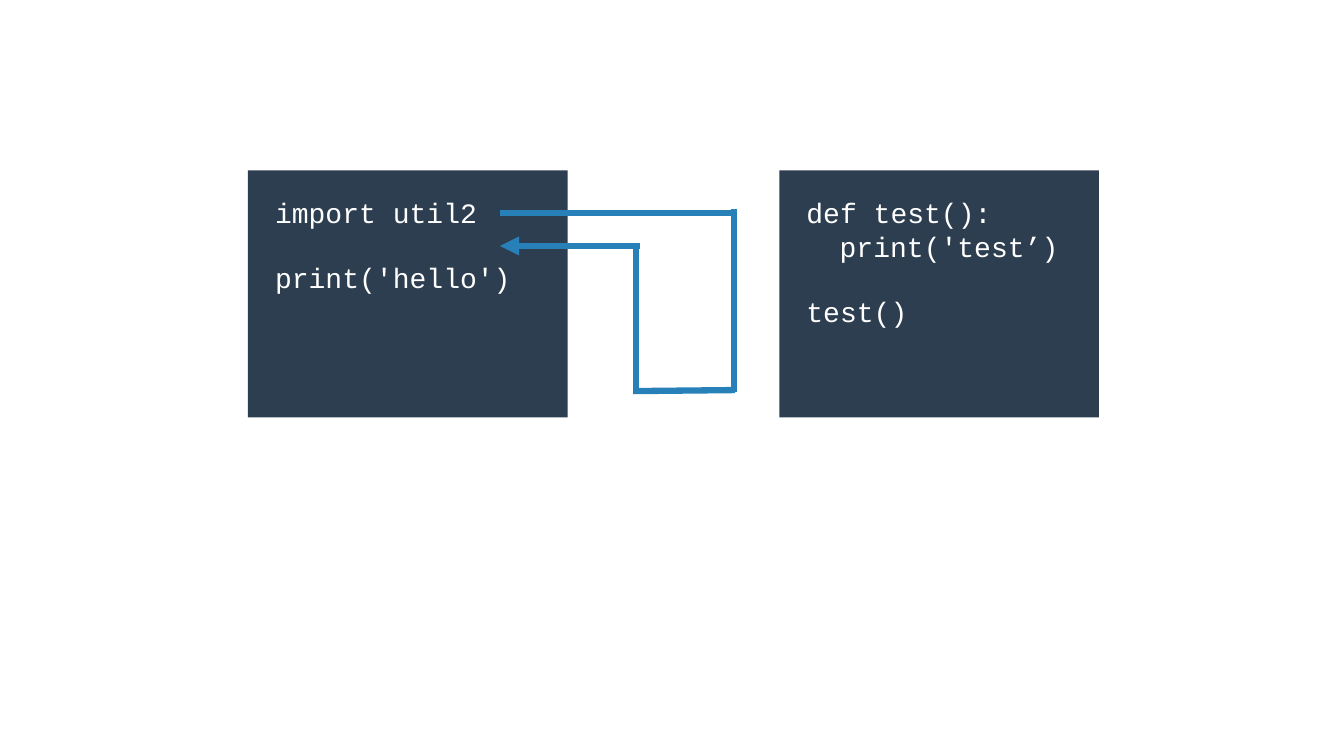
from pptx import Presentation
from pptx.dml.color import RGBColor
from pptx.enum.shapes import MSO_CONNECTOR, MSO_SHAPE
from pptx.enum.text import MSO_ANCHOR, MSO_AUTO_SIZE, PP_ALIGN
from pptx.oxml.ns import qn
from pptx.util import Inches, Pt
from lxml.etree import SubElement

PANEL_COLOR = "2C3E50"
ARROW_COLOR = "2880B9"
CODE_SIZE = 20
LINE_HEIGHT = 22.65
PANEL_TOP = 1.69

# Each code line: text, indented, gap above
IMPORTER_CODE = [("import util2", False, False), ("print('hello')", False, True)]
MODULE_CODE = [
    ("def test():", False, False),
    ("print('test’)", True, False),
    ("test()", False, True),
]


def color(hex_string):
    """Turn a hex string into a colour."""
    return RGBColor.from_string(hex_string)


def add_rectangle(page, left, top, width, height, fill=PANEL_COLOR):
    """Add a plain filled rectangle."""
    box = page.shapes.add_shape(
        MSO_SHAPE.RECTANGLE, Inches(left), Inches(top), Inches(width), Inches(height)
    )
    box.shadow.inherit = False
    box.fill.solid()
    box.fill.fore_color.rgb = color(fill)
    box.line.fill.background()
    return box


def write_line(para, text, size=CODE_SIZE, font="Courier New", fill="FFFFFF",
               indented=False, gap_above=False):
    """Write one formatted line of code into a paragraph."""
    para.alignment = PP_ALIGN.LEFT
    if indented:
        para._p.get_or_add_pPr().set("marL", str(Inches(0.33)))
    if gap_above:
        para.space_before = Pt(LINE_HEIGHT)
    span = para.add_run()
    span.text = text
    span.font.size = Pt(size)
    span.font.name = font
    span.font.color.rgb = color(fill)


def add_code_panel(page, left, code, text_height):
    """Add a dark panel with a code listing on it."""
    add_rectangle(page, left, PANEL_TOP, 3.17, 2.45)
    box = add_rectangle(page, left + 0.17, PANEL_TOP + 0.2, 2.77, text_height)
    frame = box.text_frame
    frame.word_wrap = True
    frame.auto_size = MSO_AUTO_SIZE.SHAPE_TO_FIT_TEXT
    frame.vertical_anchor = MSO_ANCHOR.TOP
    for index, (text, indented, gap_above) in enumerate(code):
        para = frame.add_paragraph() if index else frame.paragraphs[0]
        write_line(para, text, indented=indented, gap_above=gap_above)


def add_line(page, start, end, arrow=False):
    """Add a straight line, with an arrowhead at its end if asked."""
    points = [Inches(value) for value in (*start, *end)]
    line = page.shapes.add_connector(MSO_CONNECTOR.STRAIGHT, *points)
    line.line.color.rgb = color(ARROW_COLOR)
    line.line.width = Pt(4.5)
    if arrow:
        SubElement(line.line._get_or_add_ln(), qn("a:tailEnd"), type="triangle")
    SubElement(line._element.spPr, qn("a:effectLst"))


def main():
    """Build the import flow slide."""
    deck = Presentation()
    deck.slide_width, deck.slide_height = Inches(13.33), Inches(7.5)
    page = deck.slides.add_slide(deck.slide_layouts[6])

    add_code_panel(page, 2.46, IMPORTER_CODE, text_height=1.11)
    add_line(page, (6.35, 2.44), (4.96, 2.44), arrow=True)
    add_line(page, (4.96, 2.11), (7.28, 2.11))
    add_code_panel(page, 7.73, MODULE_CODE, text_height=1.45)
    add_line(page, (7.28, 3.89), (7.28, 2.07))
    add_line(page, (6.31, 3.89), (6.31, 2.41))
    add_line(page, (6.28, 3.88), (7.29, 3.87))

    deck.save("out.pptx")


main()
